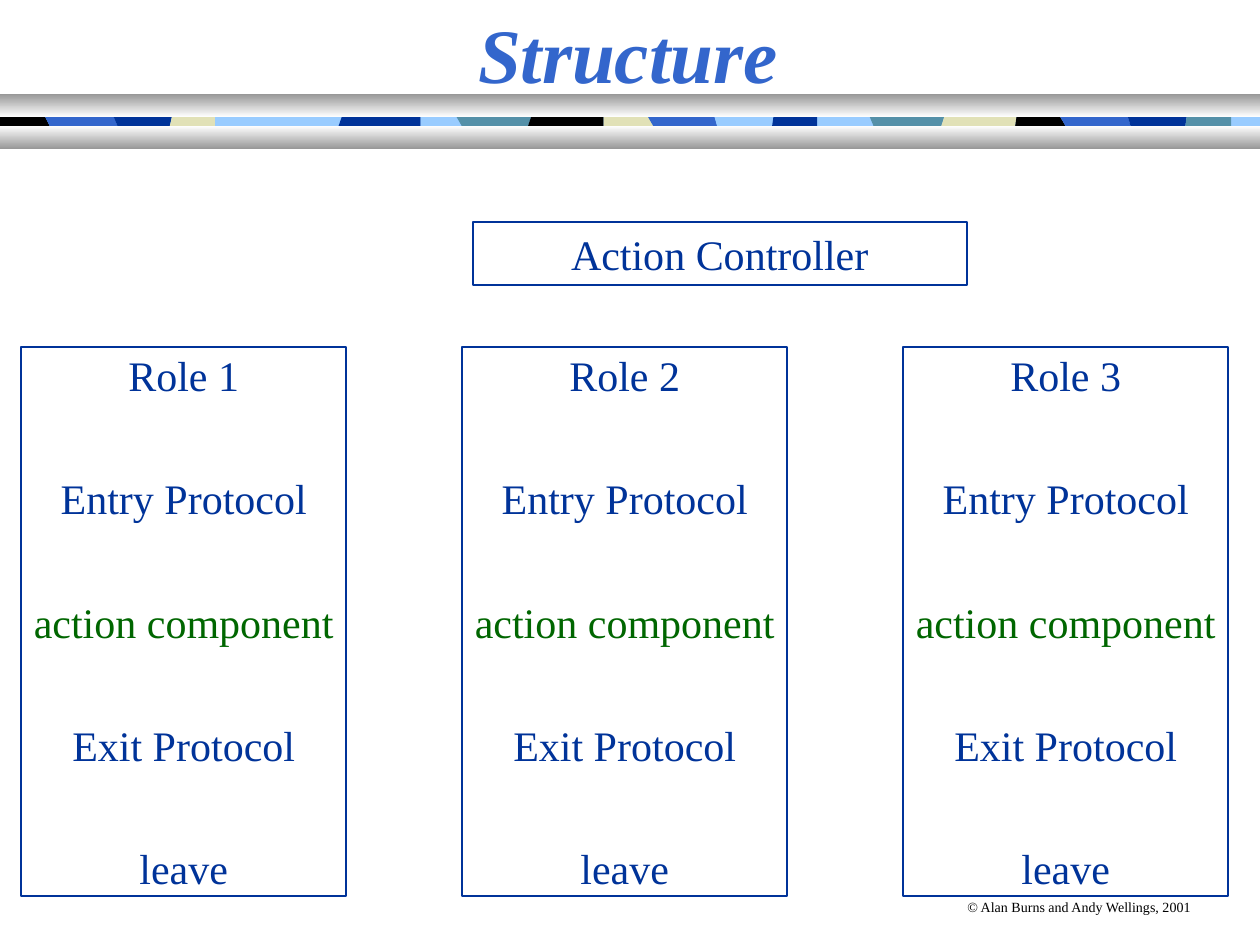
from itertools import pairwise

from pptx import Presentation
from pptx.dml.color import RGBColor
from pptx.enum.shapes import MSO_SHAPE
from pptx.enum.text import MSO_ANCHOR, MSO_AUTO_SIZE, PP_ALIGN
from pptx.util import Cm, Pt

RECTANGLE = MSO_SHAPE.RECTANGLE
MIDDLE, TOP = MSO_ANCHOR.MIDDLE, MSO_ANCHOR.TOP
CENTER, LEFT = PP_ALIGN.CENTER, PP_ALIGN.LEFT
NO_AUTOSIZE = MSO_AUTO_SIZE.NONE

TITLE_ONLY = 5
FONT = "Times New Roman"
COLORS = {
    "black": "000000",
    "blue": "3366CC",
    "navy": "003399",
    "sky": "99CCFF",
    "teal": "5490A8",
    "sand": "E1E1B7",
    "green": "006600",
    "grey": "989898",
    "white": "FFFFFF",
}

PAGE_WIDTH, PAGE_HEIGHT = 25.4, 19.05
STRIP_TOP, STRIP_HEIGHT = 2.16, 0.71
BAR_TOPS, BAR_HEIGHT = (1.9, 2.54), 0.46
# Each seam between two strip pieces: x at the top edge, x at the bottom edge
STRIP_SEAMS = [
    (0, 0), (0.81, 1.17), (2.21, 2.51), (3.51, 3.35), (4.34, 4.34),
    (6.96, 6.71), (8.48, 8.48), (9.09, 9.5), (10.77, 10.54), (12.17, 12.17),
    (12.95, 13.36), (14.35, 14.55), (15.62, 15.52), (16.48, 16.48),
    (17.45, 17.75), (19.1, 18.87), (20.52, 20.42), (21.26, 21.67),
    (22.68, 22.89), (23.95, 23.85), (24.82, 24.82),
]
STRIP_COLORS = [
    "black", "blue", "navy", "sand", "sky", "navy", "sky", "teal", "black", "sand",
    "blue", "sky", "navy", "sky", "teal", "sand", "black", "blue", "navy", "teal",
]

ROLE_COUNT = 3
ROLE_LEFT, ROLE_STEP = 0.43, 8.89
ROLE_STAGES = [
    ("Entry Protocol", "navy"),
    ("action component", "green"),
    ("Exit Protocol", "navy"),
    ("leave", "navy"),
]


def rgb(name):
    return RGBColor.from_string(COLORS[name])


class SlideBuilder:
    def __init__(self, page):
        self.page = page

    def set_text(self, shape, lines, size, align=CENTER, anchor=MIDDLE, wrap=True, gap=0, **style):
        """Fill a shape with (text, colour) paragraphs set apart by gap points."""
        frame = shape.text_frame
        frame_format = {"word_wrap": wrap, "auto_size": NO_AUTOSIZE, "vertical_anchor": anchor}
        for name, value in frame_format.items():
            setattr(frame, name, value)
        font_format = {"name": FONT, "size": Pt(size), **style}
        for index, (text, color) in enumerate(lines):
            para = frame.paragraphs[0] if index == 0 else frame.add_paragraph()
            para.alignment = align
            para.space_before = Pt(gap if index else 0)
            span = para.add_run()
            span.text = text
            span.font.color.rgb = rgb(color)
            for name, value in font_format.items():
                setattr(span.font, name, value)

    def title(self, text, left, top, width, height):
        title = self.page.shapes.title
        place = {"left": left, "top": top, "width": width, "height": height}
        for name, value in place.items():
            setattr(title, name, Cm(value))
        self.set_text(title, [(text, "blue")], 44, bold=True, italic=True)

    def rectangle(self, left, top, width, height):
        box = self.page.shapes.add_shape(RECTANGLE, Cm(left), Cm(top), Cm(width), Cm(height))
        box.shadow.inherit = False
        return box

    def outlined_box(self, left, top, width, height, lines, **text_format):
        box = self.rectangle(left, top, width, height)
        box.fill.background()
        box.line.color.rgb = rgb("navy")
        box.line.width = Pt(1)
        self.set_text(box, lines, 24, **text_format)

    def plain_band(self, left, top, width, height, color):
        band = self.rectangle(left, top, width, height)
        band.fill.solid()
        band.fill.fore_color.rgb = rgb(color)
        band.line.fill.background()

    def gradient_bar(self, top, colors):
        bar = self.rectangle(0, top, PAGE_WIDTH, BAR_HEIGHT)
        bar.line.fill.background()
        bar.fill.gradient()
        bar.fill.gradient_angle = 270
        for stop, color in zip(bar.fill.gradient_stops, colors):
            stop.color.rgb = rgb(color)

    def strip_piece(self, left_seam, right_seam, color):
        bottom = STRIP_TOP + STRIP_HEIGHT
        corners = [
            (left_seam[0], STRIP_TOP), (right_seam[0], STRIP_TOP),
            (right_seam[1], bottom), (left_seam[1], bottom),
        ]
        points = [(Cm(x), Cm(y)) for x, y in corners]
        outline = self.page.shapes.build_freeform(*points[0])
        outline.add_line_segments(points[1:], close=True)
        piece = outline.convert_to_shape()
        piece.shadow.inherit = False
        piece.fill.solid()
        piece.fill.fore_color.rgb = rgb(color)
        piece.line.fill.background()

    def label(self, left, top, width, height, text, size):
        box = self.page.shapes.add_textbox(Cm(left), Cm(top), Cm(width), Cm(height))
        self.set_text(box, [(text, "black")], size, align=LEFT, anchor=TOP, wrap=False)


def main():
    deck = Presentation()
    deck.slide_width, deck.slide_height = Cm(PAGE_WIDTH), Cm(PAGE_HEIGHT)
    builder = SlideBuilder(deck.slides.add_slide(deck.slide_layouts[TITLE_ONLY]))

    builder.plain_band(0, STRIP_TOP, PAGE_WIDTH, STRIP_HEIGHT, "sky")
    for (left_seam, right_seam), color in zip(pairwise(STRIP_SEAMS), STRIP_COLORS):
        builder.strip_piece(left_seam, right_seam, color)
    for top, colors in zip(BAR_TOPS, [("grey", "white"), ("white", "grey")]):
        builder.gradient_bar(top, colors)
    builder.label(19.25, 17.98, 5.08, 0.61, "© Alan Burns and Andy Wellings, 2001", 8)

    builder.title("Structure", 0, 0, 25.32, 2.11)
    builder.outlined_box(9.53, 4.47, 9.96, 1.27, [("Action Controller", "navy")])
    for index in range(ROLE_COUNT):
        lines = [(f"Role {index + 1}", "navy"), *ROLE_STAGES]
        left = ROLE_LEFT + index * ROLE_STEP
        builder.outlined_box(left, 6.99, 6.55, 11.07, lines, wrap=False, gap=41.7)

    deck.save("out.pptx")


if __name__ == "__main__":
    main()
